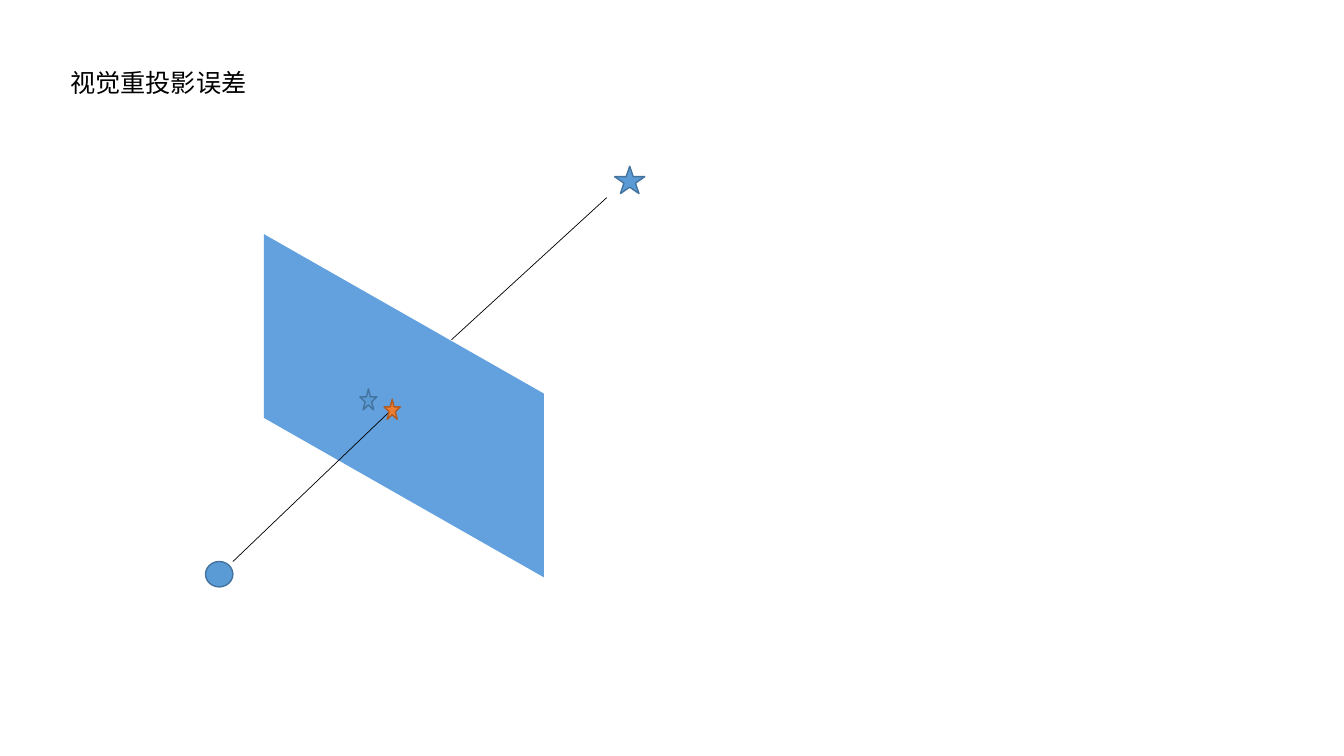
from dataclasses import dataclass

from lxml.etree import SubElement
from pptx import Presentation
from pptx.dml.color import RGBColor
from pptx.enum.shapes import MSO_CONNECTOR as CONN, MSO_SHAPE as SHAPE
from pptx.oxml.ns import qn
from pptx.util import Cm, Pt


@dataclass(frozen=True)
class Theme:
    font: str = "Calibri"
    title_size: float = 18
    ink: str = "000000"
    plane: str = "62A1DD"
    blue: tuple = ("5B9BD5", "43739E")
    orange: tuple = ("ED7D31", "AF5C24")
    outline: float = 1
    ray: float = 0.5


THEME = Theme()


def rgb(value):
    return RGBColor.from_string(value)


def add_title(slide, box, text):
    tf = slide.shapes.add_textbox(*map(Cm, box)).text_frame
    tf.word_wrap = True
    r = tf.paragraphs[0].add_run()
    r.text = text
    for name, value in {"name": THEME.font, "size": Pt(THEME.title_size)}.items():
        setattr(r.font, name, value)
    r.font.color.rgb = rgb(THEME.ink)


def add_plane(slide, left, top, width, height, drop):
    """Draw the image plane, its right side lowered by drop."""
    right = left + width
    corners = [(left, top), (right, top + drop),
               (right, top + drop + height), (left, top + height)]
    points = [(Cm(x), Cm(y)) for x, y in corners]
    builder = slide.shapes.build_freeform(*points[0])
    builder.add_line_segments(points[1:], close=True)
    sp = builder.convert_to_shape()
    sp.shadow.inherit = False
    sp.fill.solid()
    sp.fill.fore_color.rgb = rgb(THEME.plane)
    sp.line.fill.background()


def add_marker(slide, kind, box, colours):
    fill, line = colours
    sp = slide.shapes.add_shape(kind, *map(Cm, box))
    sp.shadow.inherit = False
    sp.fill.solid()
    sp.fill.fore_color.rgb = rgb(fill)
    sp.line.color.rgb = rgb(line)
    sp.line.width = Pt(THEME.outline)


def add_ray(slide, *ends):
    ray = slide.shapes.add_connector(CONN.STRAIGHT, *map(Cm, ends))
    SubElement(ray._element.spPr, qn("a:effectLst"))
    ray.line.color.rgb = rgb(THEME.ink)
    ray.line.width = Pt(THEME.ray)


def add_projection(slide, left, top):
    """Draw camera, image plane, landmark and both projected points."""
    add_plane(slide, left + 1.47, top + 1.71, 7.06, 4.63, 4.02)

    def markers(items):
        for kind, x, y, w, h, colours in items:
            add_marker(slide, kind, (left + x, top + y, w, h), colours)

    landmark = (SHAPE.STAR_5_POINT, 10.31, 0, 0.76, 0.69, THEME.blue)
    camera = (SHAPE.OVAL, 0, 9.96, 0.69, 0.64, THEME.blue)
    reprojected = (SHAPE.STAR_5_POINT, 4.5, 5.87, 0.41, 0.51, THEME.orange)
    observed = (SHAPE.STAR_5_POINT, 3.89, 5.61, 0.43, 0.53, THEME.blue)

    markers([landmark, camera])
    for x1, y1, x2, y2 in [(0.69, 9.96, 4.65, 6.17), (6.2, 4.37, 10.11, 0.79)]:
        add_ray(slide, left + x1, top + y1, left + x2, top + y2)
    markers([reprojected, observed])


def main():
    prs = Presentation()
    prs.slide_width, prs.slide_height = Cm(33.87), Cm(19.05)
    slide = prs.slides.add_slide(prs.slide_layouts[6])
    add_title(slide, (1.52, 1.57, 6.96, 1.02), "视觉重投影误差")
    add_projection(slide, 5.18, 4.19)
    prs.save("out.pptx")


if __name__ == "__main__":
    main()
